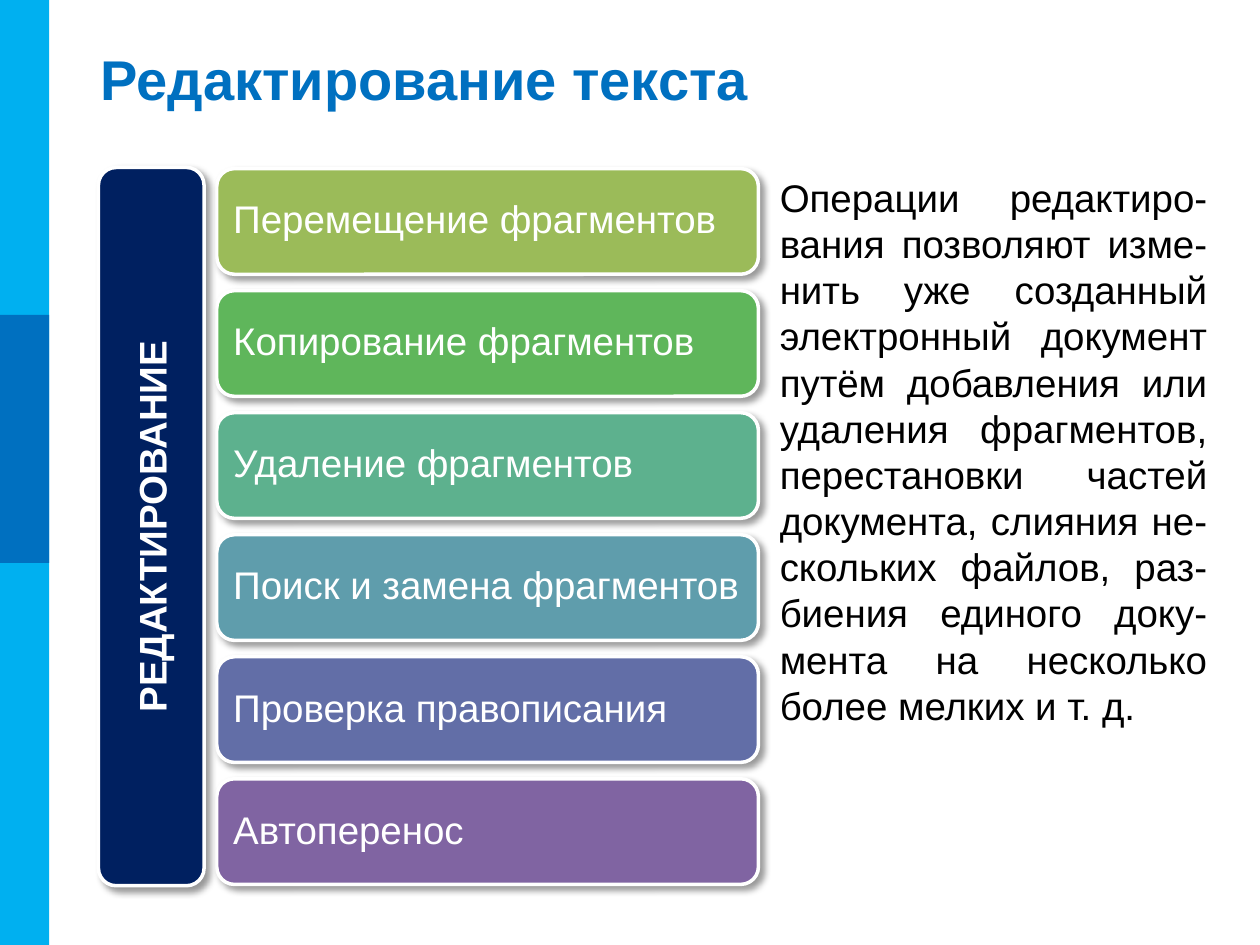
import pptx
import pptx.util
import pptx.dml.color
import pptx.enum.shapes
import pptx.enum.text
import pptx.oxml
import pptx.oxml.ns

Cm, Pt = pptx.util.Cm, pptx.util.Pt
Kind = pptx.enum.shapes.MSO_SHAPE
Align = pptx.enum.text.PP_ALIGN
Anchor = pptx.enum.text.MSO_ANCHOR

ITEMS = [
    ("Перемещение фрагментов", "9BBB59"),
    ("Копирование фрагментов", "5FB65B"),
    ("Удаление фрагментов", "5DB18E"),
    ("Поиск и замена фрагментов", "5F9DAC"),
    ("Проверка правописания", "626EA7"),
    ("Автоперенос", "8064A2"),
]
BODY = ("Операции редактиро-вания позволяют изме-нить уже созданный "
        "электронный документ путём добавления или удаления фрагментов, "
        "перестановки частей документа, слияния не-скольких файлов, "
        "раз-биения единого доку-мента на несколько более мелких и т. д.")

SHADOW = (
    f'<a:effectLst {pptx.oxml.ns.nsdecls("a")}>'
    '<a:outerShdw blurRad="50800" dist="38100" dir="2700000" rotWithShape="0">'
    '<a:srgbClr val="000000"><a:alpha val="40000"/></a:srgbClr>'
    '</a:outerShdw></a:effectLst>')


def color(code):
    return pptx.dml.color.RGBColor.from_string(code)


def apply(target, values):
    for name, value in values.items():
        setattr(target, name, value)


def write(shape, text, tint, size=22, bold=False, frame=None, para=None):
    box = shape.text_frame
    apply(box, {"word_wrap": True, **(frame or {})})
    line = box.paragraphs[0]
    apply(line, {"alignment": Align.LEFT, **(para or {})})
    run = line.add_run()
    run.text = text
    apply(run.font, {"name": "Arial", "size": Pt(size), "bold": bold})
    run.font.color.rgb = color(tint)


def add_band(slide, top, height, fill):
    band = slide.shapes.add_shape(Kind.RECTANGLE, 0, Cm(top), Cm(0.99), Cm(height))
    band.shadow.inherit = False
    band.fill.solid()
    band.fill.fore_color.rgb = color(fill)
    band.line.fill.background()


def add_label(slide, spot, text, **style):
    box = slide.shapes.add_textbox(*map(Cm, spot))
    write(box, text, **style)


def add_card(slide, spot, fill, text, turn=0, **style):
    card = slide.shapes.add_shape(Kind.ROUNDED_RECTANGLE, *map(Cm, spot))
    card.rotation = turn
    card.fill.solid()
    card.fill.fore_color.rgb = color(fill)
    card.line.color.rgb = color("FFFFFF")
    card.line.width = Pt(2)
    card._element.spPr.append(pptx.oxml.parse_xml(SHADOW))
    write(card, text, "FFFFFF", **style)


def main():
    deck = pptx.Presentation()
    apply(deck, {"slide_width": Cm(25.4), "slide_height": Cm(19.05)})
    slide = deck.slides.add_slide(deck.slide_layouts[6])

    # Side stripe
    add_band(slide, 0, 19.05, "00B0F0")
    add_band(slide, 6.35, 5, "0070C0")

    # Title and explanation
    add_label(slide, (1.78, 0.76, 22.91, 1.63), "Редактирование текста",
              tint="0070C0", size=32, bold=True,
              frame={"vertical_anchor": Anchor.MIDDLE})
    add_label(slide, (15.47, 3.38, 9.12, 15.09), BODY, tint="000000",
              para={"alignment": Align.JUSTIFY})

    # Operations, one card per row
    left, top, width, height, pitch = 4.37, 3.4, 10.92, 2.13, 2.46
    frame = {"vertical_anchor": Anchor.MIDDLE, "margin_left": Cm(0.23),
             "margin_right": 0}
    for row, (text, fill) in enumerate(ITEMS):
        add_card(slide, (left, top + row * pitch, width, height), fill, text,
                 frame=frame, para={"line_spacing": 0.9})

    # Upright heading beside the cards
    add_card(slide, (-4.19, 9.55, 14.48, height), "002060", "РЕДАКТИРОВАНИЕ",
             turn=270, bold=True, frame={"vertical_anchor": Anchor.MIDDLE},
             para={"alignment": Align.CENTER})

    deck.save("out.pptx")


if __name__ == "__main__":
    main()
